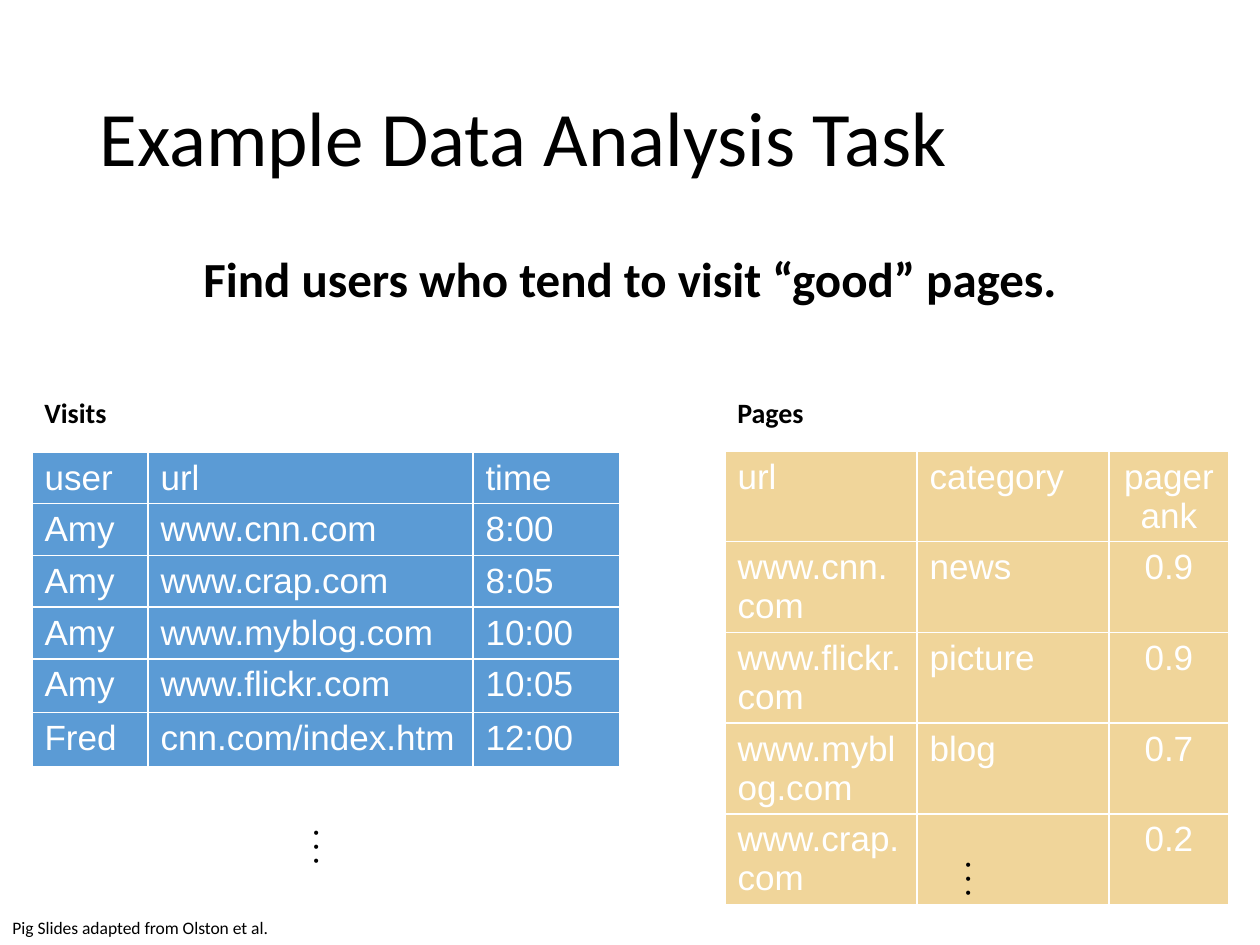
import dataclasses

import lxml.etree
import pptx
import pptx.dml.color
import pptx.enum.text
import pptx.oxml.ns
import pptx.util

SCALE = 914400 / 126
COLORS = {"ink": "000000", "white": "FFFFFF", "blue": "5B9BD5", "sand": "F0D59A"}
ALIGN = pptx.enum.text.PP_ALIGN
LEFT, RIGHT = 32, 725


@dataclasses.dataclass(frozen=True)
class Label:
    text: str
    left: int
    top: int
    width: int
    height: int
    size: int
    bold: bool = True
    wrap: bool = False
    align: ALIGN = ALIGN.LEFT
    turn: int = 0


@dataclasses.dataclass(frozen=True)
class Grid:
    left: int
    top: int
    fill: str
    widths: tuple[int, ...]
    heights: tuple[int, ...]
    aligns: tuple[ALIGN, ...]
    rows: tuple[tuple[str, ...], ...]


LABELS = (
    Label("Find users who tend to visit “good” pages.", 0, 242, 1260, 72, 28,
          wrap=True, align=ALIGN.CENTER),
    Label("Pages", RIGHT, 389, 108, 47, 16),
    Label("Visits", LEFT, 389, 101, 47, 16),
    Label(". . .", 292, 827, 66, 47, 16, turn=90),
    Label(". . .", 944, 859, 66, 47, 16, turn=90),
    Label("Pig Slides adapted from Olston et al.", 0, 911, 473, 34, 10,
          bold=False, wrap=True),
)

VISITS = Grid(
    LEFT, 452, "blue", (116, 325, 147), (42, 42, 42, 42, 54, 54), (ALIGN.LEFT,) * 3,
    (
        ("user", "url", "time"),
        ("Amy", "www.cnn.com", "8:00"),
        ("Amy", "www.crap.com", "8:05"),
        ("Amy", "www.myblog.com", "10:00"),
        ("Amy", "www.flickr.com", "10:05"),
        ("Fred", "cnn.com/index.htm", "12:00"),
    ),
)

PAGES = Grid(
    RIGHT, 451, "sand", (192, 192, 120), (42, 42, 42, 52, 54),
    (ALIGN.LEFT, ALIGN.LEFT, ALIGN.CENTER),
    (
        ("url", "category", "pagerank"),
        ("www.cnn.com", "news", "0.9"),
        ("www.flickr.com", "picture", "0.9"),
        ("www.myblog.com", "blog", "0.7"),
        ("www.crap.com", "", "0.2"),
    ),
)


def px(count: int) -> int:
    return round(count * SCALE)


def color(name: str) -> pptx.dml.color.RGBColor:
    return pptx.dml.color.RGBColor.from_string(COLORS[name])


def style(para, face: str, size: int, tint: str, align: ALIGN, bold: bool = False) -> None:
    para.alignment = align
    for run in para.runs:
        run.font.name = face
        run.font.size = pptx.util.Pt(size)
        run.font.bold = bold
        run.font.color.rgb = color(tint)


def place(shape, left: int, top: int, width: int, height: int) -> None:
    shape.left, shape.top = px(left), px(top)
    shape.width, shape.height = px(width), px(height)


def draw_title(slide) -> None:
    title = slide.shapes.title
    place(title, 87, 50, 1086, 183)
    frame = title.text_frame
    frame.text = "Example Data Analysis Task"
    frame.vertical_anchor = pptx.enum.text.MSO_ANCHOR.MIDDLE
    para = frame.paragraphs[0]
    para.line_spacing = 0.9
    style(para, "Calibri", 44, "ink", ALIGN.LEFT)


def draw_label(slide, label: Label) -> None:
    box = slide.shapes.add_textbox(
        px(label.left), px(label.top), px(label.width), px(label.height))
    box.rotation = label.turn
    frame = box.text_frame
    frame.word_wrap = label.wrap
    frame.auto_size = pptx.enum.text.MSO_AUTO_SIZE.SHAPE_TO_FIT_TEXT
    frame.text = label.text
    style(frame.paragraphs[0], "Calibri", label.size, "ink", label.align, label.bold)


def add_edges(cell) -> None:
    qn = pptx.oxml.ns.qn
    props = cell._tc.get_or_add_tcPr()
    for side in "LRTB":
        line = lxml.etree.SubElement(
            props, qn(f"a:ln{side}"), w=str(pptx.util.Pt(1)))
        fill = lxml.etree.SubElement(line, qn("a:solidFill"))
        lxml.etree.SubElement(fill, qn("a:srgbClr"), val=COLORS["white"])


def draw_grid(slide, grid: Grid) -> None:
    table = slide.shapes.add_table(
        len(grid.rows), len(grid.widths), px(grid.left), px(grid.top),
        px(sum(grid.widths)), px(sum(grid.heights))).table
    for column, width in zip(table.columns, grid.widths):
        column.width = px(width)
    for row, height, texts in zip(table.rows, grid.heights, grid.rows):
        row.height = px(height)
        for cell, text, align in zip(row.cells, texts, grid.aligns):
            add_edges(cell)
            cell.fill.solid()
            cell.fill.fore_color.rgb = color(grid.fill)
            cell.text_frame.text = text
            style(cell.text_frame.paragraphs[0], "Arial", 20, "white", align)


def main() -> None:
    deck = pptx.Presentation()
    deck.slide_width, deck.slide_height = px(1260), px(945)
    slide = deck.slides.add_slide(deck.slide_layouts[5])
    draw_title(slide)
    for grid in (VISITS, PAGES):
        draw_grid(slide, grid)
    for label in LABELS:
        draw_label(slide, label)
    deck.save("out.pptx")


if __name__ == "__main__":
    main()
